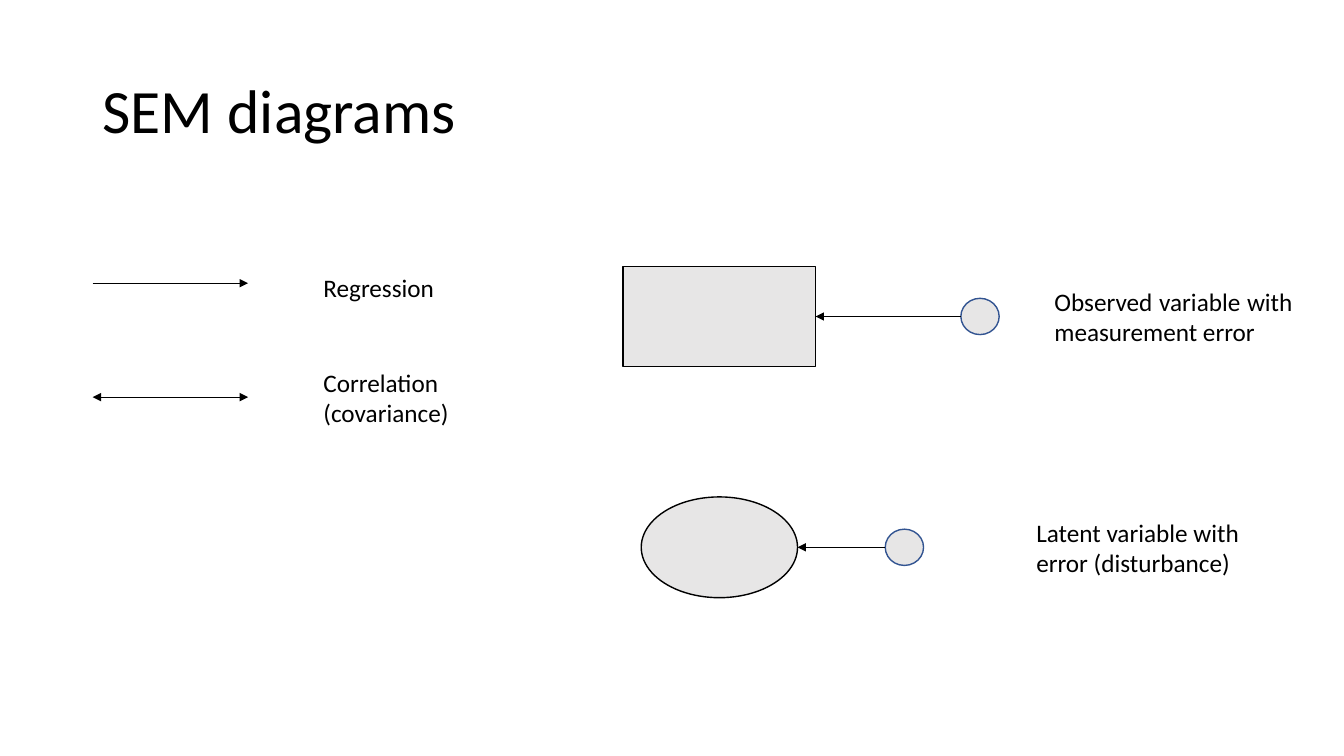
import dataclasses

import lxml.etree
import pptx
import pptx.dml.color
import pptx.enum.shapes
import pptx.enum.text
import pptx.oxml.ns
import pptx.util

Inches = pptx.util.Inches
Pt = pptx.util.Pt
Shape = pptx.enum.shapes.MSO_SHAPE
Align = pptx.enum.text.PP_ALIGN
Anchor = pptx.enum.text.MSO_ANCHOR
qualified = pptx.oxml.ns.qn


def color(value):
    return pptx.dml.color.RGBColor.from_string(value)


@dataclasses.dataclass(frozen=True)
class Theme:
    font: str = "Calibri"
    ink: str = "000000"
    variable_fill: str = "E7E6E6"
    error_line: str = "325491"
    title_size: float = 44
    label_size: float = 18
    outline: float = 1
    arrow_line: float = 0.5


class Diagram:
    def __init__(self, page, theme):
        self.page = page
        self.theme = theme

    def text(self, words, left, top, width, height, size=None,
             align=Align.LEFT, anchor=Anchor.TOP, spacing=1.0):
        box = self.page.shapes.add_textbox(
            Inches(left), Inches(top), Inches(width), Inches(height))
        frame = box.text_frame
        frame.text = words
        frame.word_wrap = True
        frame.vertical_anchor = anchor
        para = frame.paragraphs[0]
        para.alignment = align
        para.line_spacing = spacing
        for span in para.runs:
            span.font.name = self.theme.font
            span.font.size = Pt(size or self.theme.label_size)
            span.font.color.rgb = color(self.theme.ink)

    def node(self, kind, left, middle, width, height, line=None):
        shape = self.page.shapes.add_shape(
            kind, Inches(left), Inches(middle - height / 2),
            Inches(width), Inches(height))
        shape.shadow.inherit = False
        shape.fill.solid()
        shape.fill.fore_color.rgb = color(self.theme.variable_fill)
        shape.line.color.rgb = color(line or self.theme.ink)
        shape.line.width = Pt(self.theme.outline)

    def arrow(self, start, end, middle, both_ends=False):
        connector = self.page.shapes.add_connector(
            pptx.enum.shapes.MSO_CONNECTOR.STRAIGHT,
            Inches(start), Inches(middle), Inches(end), Inches(middle))
        connector.line.color.rgb = color(self.theme.ink)
        connector.line.width = Pt(self.theme.arrow_line)
        line = connector.line._get_or_add_ln()
        for end_name in ["headEnd", "tailEnd"] if both_ends else ["tailEnd"]:
            lxml.etree.SubElement(line, qualified("a:" + end_name), type="triangle")
        lxml.etree.SubElement(connector._element.spPr, qualified("a:effectLst"))

    def variable_with_error(self, kind, left, middle, width, height, error_left):
        self.node(kind, left, middle, width, height)
        self.node(Shape.OVAL, error_left, middle, 0.38, 0.36, self.theme.error_line)
        self.arrow(error_left, left + width, middle)


deck = pptx.Presentation()
deck.slide_width = Inches(13.33)
deck.slide_height = Inches(7.5)
theme = Theme()
diagram = Diagram(deck.slides.add_slide(deck.slide_layouts[6]), theme)

diagram.text("SEM diagrams", 0.92, 0.4, 11.5, 1.45, size=theme.title_size,
             anchor=Anchor.MIDDLE, spacing=0.9)

diagram.arrow(0.92, 2.46, 2.81)
diagram.text("Regression", 3.11, 2.65, 1.86, 0.4)
diagram.arrow(0.92, 2.46, 3.94, both_ends=True)
diagram.text("Correlation (covariance)", 3.11, 3.59, 1.86, 0.71)

diagram.variable_with_error(Shape.RECTANGLE, 6.18, 3.14, 1.91, 0.99, 9.53)
diagram.text("Observed variable with measurement error",
             10.36, 2.79, 2.56, 0.71, align=Align.JUSTIFY)
diagram.variable_with_error(Shape.OVAL, 6.36, 5.43, 1.55, 1, 8.78)
diagram.text("Latent variable with error (disturbance)", 10.18, 5.08, 2.56, 0.71)

deck.save("out.pptx")
